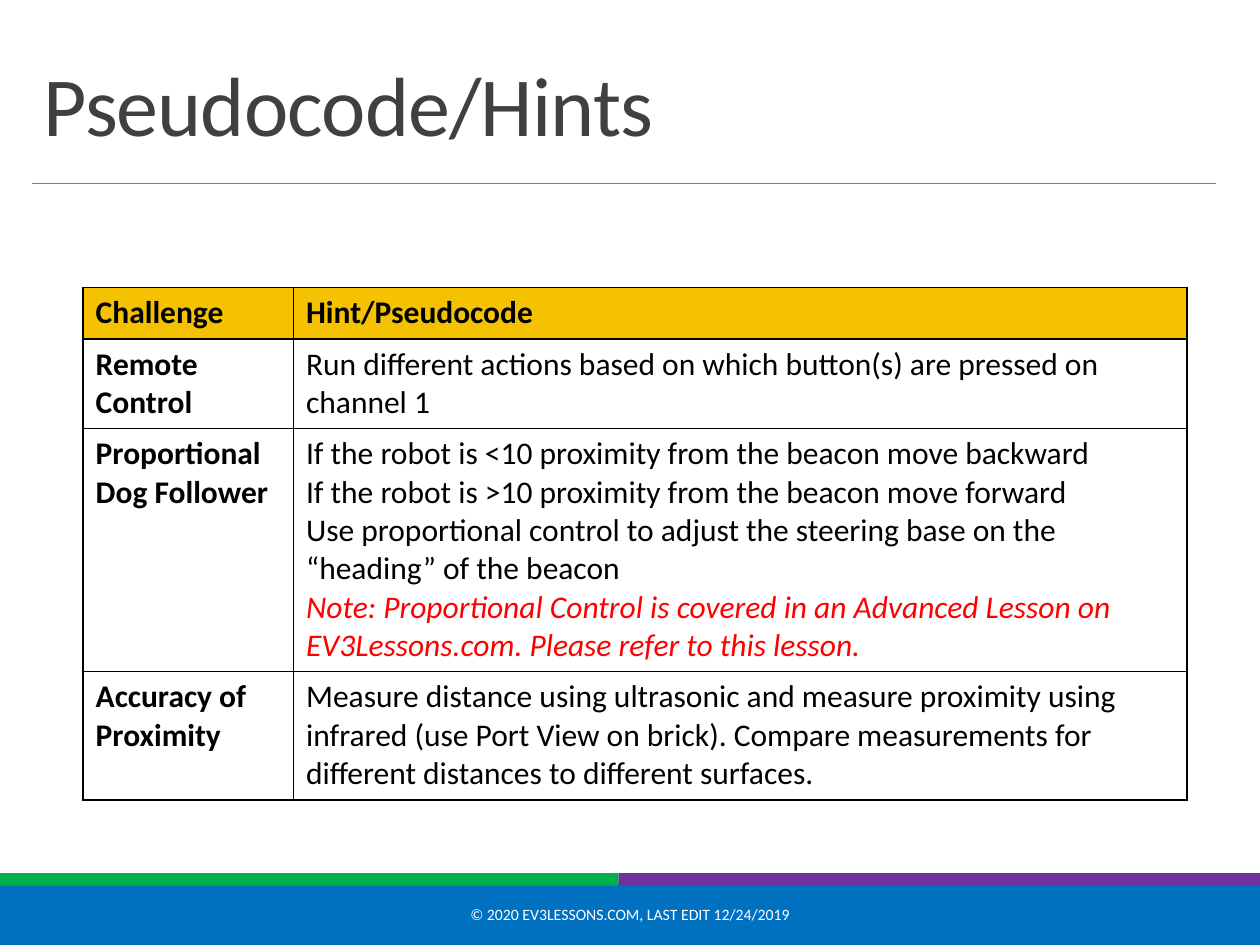
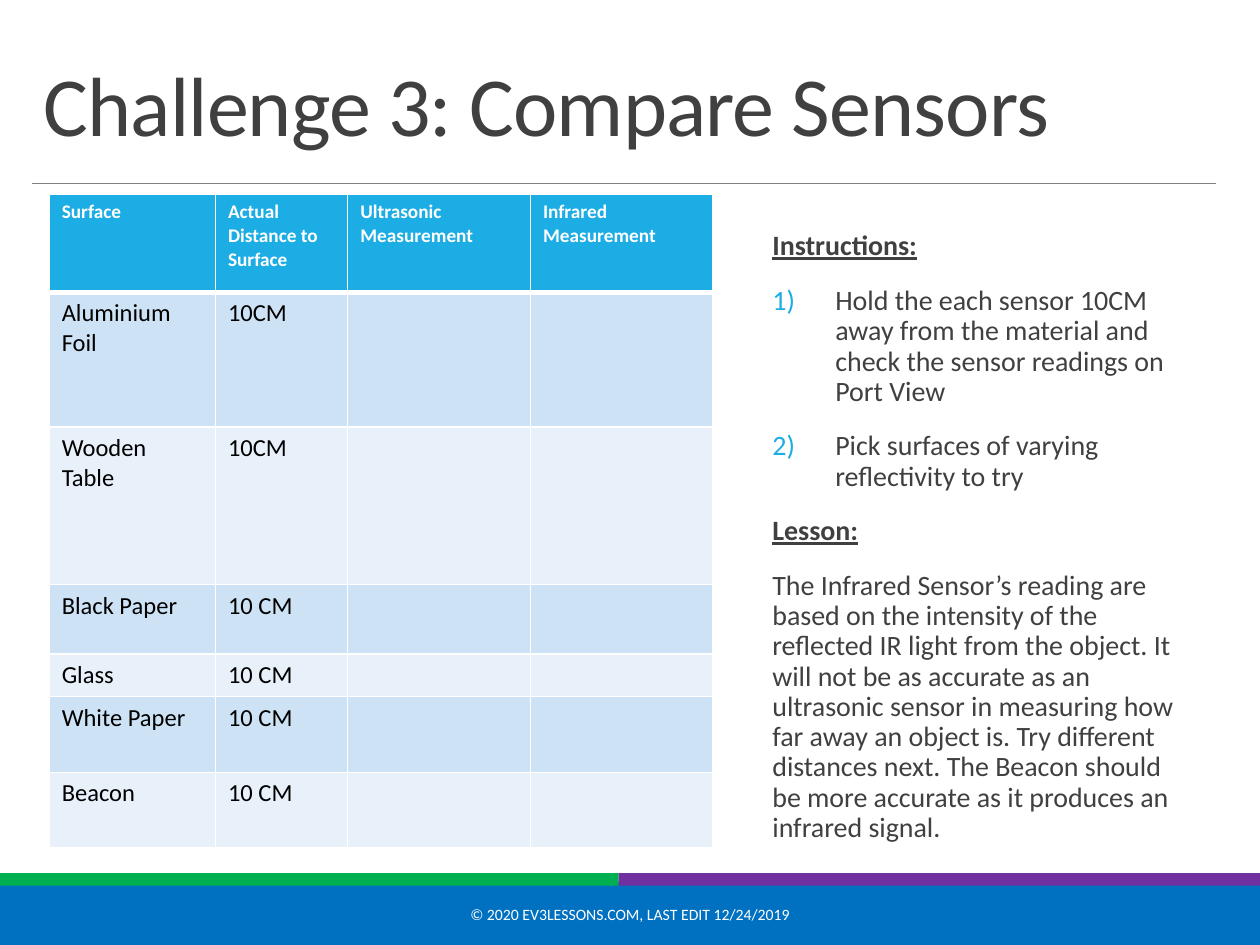
from lxml.etree import SubElement as Sub
from pptx import Presentation
from pptx.dml.color import RGBColor
from pptx.enum.shapes import MSO_CONNECTOR as Link, MSO_SHAPE as Shape
from pptx.enum.text import MSO_ANCHOR as Anchor, PP_ALIGN as Align
from pptx.oxml.ns import qn
from pptx.util import Inches, Pt

FONT = "Calibri"
INK, BLACK, WHITE = "404040", "000000", "FFFFFF"
BLUE, GREEN, PURPLE = "0070C0", "00B050", "7030A0"
GOLD, SKY, RED, GREY = "F5C201", "1CADE4", "FF0000", "808080"
BANDS = ["CDE3F5", "E8F1FA"]
rgb = RGBColor.from_string

deck = Presentation()
deck.slide_width, deck.slide_height = Inches(10), Inches(7.5)
UNIT = deck.slide_width / 100  # the slide is 100 columns by 75 rows


def grid(*steps):
    """Turn grid steps into slide lengths."""
    return [round(n * UNIT) for n in steps]


def style(par, size, color, bold=False, italic=False, under=False):
    for run in par.runs:
        font = run.font
        font.name, font.size = FONT, Pt(size)
        font.bold, font.italic, font.underline = bold, italic, under
        font.color.rgb = rgb(color)
    if not par.runs:
        Sub(par._p, qn("a:endParaRPr"), sz=str(size * 100))


hints = [
    ["Challenge", "Hint/Pseudocode"],
    ["Remote Control",
     "Run different actions based on which button(s) are pressed on channel 1"],
    ["Proportional Dog Follower",
     "If the robot is <10 proximity from the beacon move backward\n"
     "If the robot is >10 proximity from the beacon move forward\n"
     "Use proportional control to adjust the steering base on the “heading” of the beacon\n"
     "Note: Proportional Control is covered in an Advanced Lesson on EV3Lessons.com. "
     "Please refer to this lesson."],
    ["Accuracy of Proximity",
     "Measure distance using ultrasonic and measure proximity using infrared "
     "(use Port View on brick). Compare measurements for different distances "
     "to different surfaces."],
]
tests = [
    ["Surface", "Actual Distance to Surface", "Ultrasonic Measurement", "Infrared Measurement"],
    ["Aluminium Foil", "10CM", "", ""],
    ["Wooden Table", "10CM", "", ""],
    ["Black Paper", "10 CM", "", ""],
    ["Glass", "10 CM", "", ""],
    ["White Paper", "10 CM", "", ""],
    ["Beacon", "10 CM", "", ""],
]
pages = [
    dict(title="Pseudocode/Hints", data=hints, at=(6.6, 22.8),
         cols=[16.7, 70.9], rows=[4.1, 7.1, 19.3, 10.2],
         head=(18, BLACK, GOLD), size=18, bands=None, edge=BLACK, rule=1, lead=True),
    dict(title="Challenge 3: Compare Sensors", data=tests, at=(3.9, 15.4),
         cols=[13.2, 10.5, 14.5, 14.5], rows=[7.8, 10.7, 12.5, 5.5, 3.4, 6, 6],
         head=(11, WHITE, SKY), size=14, bands=BANDS, edge=WHITE, rule=3, lead=False),
]
bars = [(0, 70, 100, 5, BLUE), (0, 69.3, 49.1, 1, GREEN), (49.1, 69.3, 50.9, 1, PURPLE)]

for page in pages:
    slide = deck.slides.add_slide(deck.slide_layouts[6])
    shapes = slide.shapes

    # Bands, rule, title and footer
    for *box, color in bars:
        bar = shapes.add_shape(Shape.RECTANGLE, *grid(*box))
        bar.shadow.inherit = False
        bar.fill.solid()
        bar.fill.fore_color.rgb = rgb(color)
        bar.line.fill.background()
    rule = shapes.add_connector(Link.STRAIGHT, *grid(2.5, 14.6, 96.5, 14.6))
    rule.line.color.rgb, rule.line.width = rgb(GREY), Pt(0.5)
    Sub(rule._element.spPr, qn("a:effectLst"))

    title = shapes.add_textbox(*grid(2.5, 3.1, 94, 9.6)).text_frame
    title.word_wrap, title.vertical_anchor = True, Anchor.BOTTOM
    title.text = page["title"]
    par = title.paragraphs[0]
    par.line_spacing = 0.85
    style(par, 48, INK)
    par.runs[0].font._element.set("spc", "-50")

    foot = shapes.add_textbox(*grid(30.2, 70.6, 39.6, 4)).text_frame
    foot.word_wrap, foot.vertical_anchor = True, Anchor.MIDDLE
    foot.text = "© 2020 EV3LESSONS.COM, LAST EDIT 12/24/2019"
    foot.paragraphs[0].alignment = Align.CENTER
    style(foot.paragraphs[0], 9, WHITE)

    # Table
    data, cols, rows = page["data"], page["cols"], page["rows"]
    table = shapes.add_table(len(rows), len(cols),
                             *grid(*page["at"], sum(cols), sum(rows))).table
    for col, wide in zip(table.columns, grid(*cols)):
        col.width = wide
    for row, high in zip(table.rows, grid(*rows)):
        row.height = high
    size, tint, fill = page["head"]
    for r, line in enumerate(data):
        for c, text in enumerate(line):
            cell = table.cell(r, c)
            props = cell._tc.get_or_add_tcPr()
            for side in "LRTB":
                thick = (r, side) in [(0, "B"), (1, "T")]
                width = Pt(page["rule"] if thick else 1)
                edge = Sub(props, qn("a:ln" + side), w=str(width))
                Sub(Sub(edge, qn("a:solidFill")), qn("a:srgbClr"), val=page["edge"])
            if r == 0 or page["bands"]:
                cell.fill.solid()
                cell.fill.fore_color.rgb = rgb(page["bands"][(r - 1) % 2] if r else fill)
            else:
                cell.fill.background()
            cell.text_frame.text = text
            bold = r == 0 or (page["lead"] and c == 0)
            for par in cell.text_frame.paragraphs:
                note = par.text.startswith("Note:")
                color = RED if note else BLACK if r else tint
                style(par, page["size"] if r else size, color, bold, note)

# Instructions beside the second table
body = shapes.add_textbox(*grid(61.3, 17.9, 32.9, 43.7)).text_frame
body.word_wrap = True
body.margin_left = body.margin_right = 0
body.text = "\n".join([
    "Instructions:",
    "Hold the each sensor 10CM away from the material and check the sensor readings on Port View",
    "Pick surfaces of varying reflectivity to try",
    "Lesson:",
    "The Infrared Sensor’s reading are based on the intensity of the reflected IR light "
    "from the object. It will not be as accurate as an ultrasonic sensor in measuring how "
    "far away an object is. Try different distances next. The Beacon should be more "
    "accurate as it produces an infrared signal.",
])
for i, par in enumerate(body.paragraphs):
    if i in (1, 2):
        props = par._p.get_or_add_pPr()
        props.set("marL", str(Inches(0.5)))
        props.set("indent", str(-Inches(0.5)))
        Sub(Sub(props, qn("a:buClr")), qn("a:srgbClr"), val=SKY)
        Sub(props, qn("a:buAutoNum"), type="arabicParenR")
    par.line_spacing, par.space_after = 0.9, Pt(2)
    if i:
        par.space_before = Pt(12)
    head = par.text.endswith(":")
    style(par, 16, INK, bold=head, under=head)

deck.save("out.pptx")
